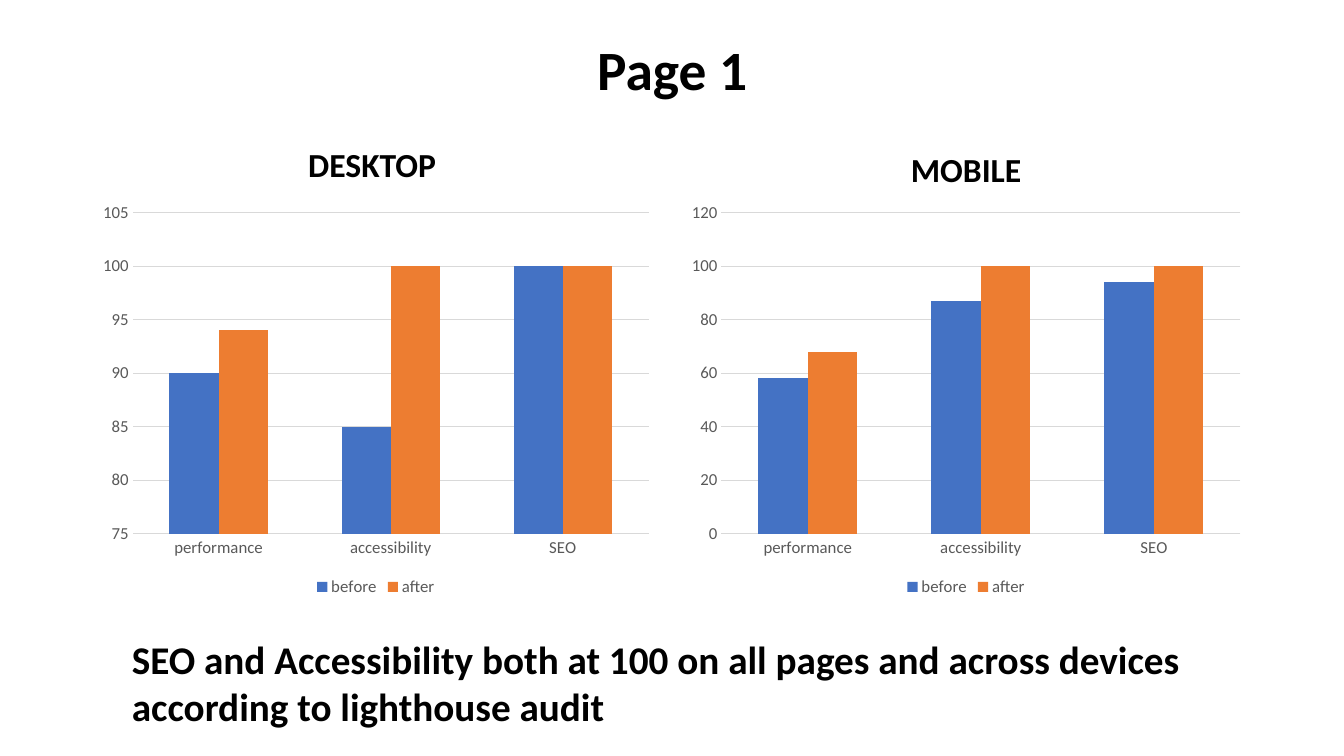
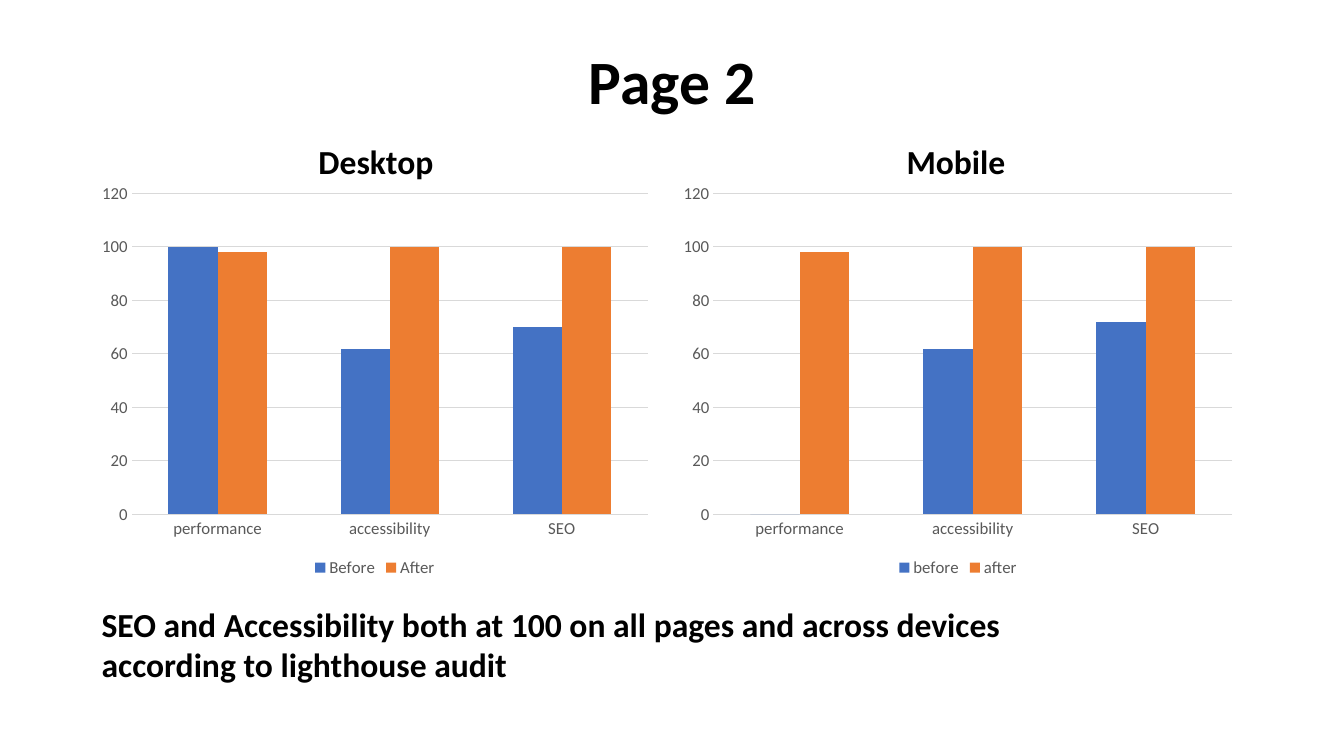
from pptx import Presentation
from pptx.chart.data import CategoryChartData
from pptx.dml.color import RGBColor
from pptx.enum.chart import XL_CHART_TYPE, XL_LEGEND_POSITION, XL_TICK_MARK
from pptx.enum.text import MSO_ANCHOR, PP_ALIGN
from pptx.util import Pt

COLUMNS = XL_CHART_TYPE.COLUMN_CLUSTERED
LEGEND_BOTTOM = XL_LEGEND_POSITION.BOTTOM
NO_TICK = XL_TICK_MARK.NONE
LEFT, CENTER = PP_ALIGN.LEFT, PP_ALIGN.CENTER
TOP, MIDDLE, BOTTOM = MSO_ANCHOR.TOP, MSO_ANCHOR.MIDDLE, MSO_ANCHOR.BOTTOM

FONT = "Calibri"
BLACK, GRAY, GRID = "000000", "595959", "D9D9D9"
SERIES_COLORS = ("4472C4", "ED7D31")
CATEGORIES = ("performance", "accessibility", "SEO")
LEFT_WIDTH, RIGHT_WIDTH = 406, 408.2
CHART_HEIGHT, HEADING_HEIGHT = 290.2, 64.8

PAGES = (
    {
        "title": ("Page 1", (66.2, 28.8, 828, 45.4), 39.6),
        "panels": (
            {"heading": "DESKTOP ", "heading_at": (65.5, 70.6), "chart_at": (65.5, 139),
             "width": LEFT_WIDTH, "scale": (75, 105, 5),
             "series": {"before": (90, 85, 100), "after": (94, 100, 100)}},
            {"heading": "MOBILE", "heading_at": (486, 74.2), "chart_at": (486, 139),
             "width": RIGHT_WIDTH, "scale": (0, 120, 20),
             "series": {"before": (58, 87, 94), "after": (68, 100, 100)}},
        ),
        "summary": ("SEO and Accessibility both at 100 on all pages and across devices "
                    "according to lighthouse audit", (87.1, 450, 781.2, 74.9), 28),
    },
    {
        "title": ("Page 2", (66.2, 7.9, 828, 104.4), 44),
        "panels": (
            {"heading": "Desktop", "heading_at": (65.5, 68.4), "chart_at": (64.8, 125.3),
             "width": LEFT_WIDTH, "scale": (0, 120, 20),
             "series": {"Before": (100, 62, 70), "After": (98, 100, 100)}},
            {"heading": "Mobile", "heading_at": (478.8, 68.4), "chart_at": (480.2, 125.3),
             "width": RIGHT_WIDTH, "scale": (0, 120, 20),
             "series": {"before": (0, 62, 72), "after": (98, 100, 100)}},
        ),
        "summary": ("SEO and Accessibility both at 100 on all pages and across devices\n"
                    "according to lighthouse audit", (65.5, 427.7, 668.2, 65.5), 24),
    },
)


def color(value):
    """Turn a hex string into a colour."""
    return RGBColor.from_string(value)


def style_font(font, size, value, bold=False):
    """Set the face, size, colour and weight of a font."""
    font.name = FONT
    font.size = Pt(size)
    font.bold = bold
    font.color.rgb = color(value)


def add_text(slide, text, box, size, align=LEFT, anchor=TOP, line_spacing=1.0):
    """Add a bold text box with one paragraph for each line."""
    frame = slide.shapes.add_textbox(*map(Pt, box)).text_frame
    frame.word_wrap = True
    frame.vertical_anchor = anchor
    frame.text = text
    for paragraph in frame.paragraphs:
        paragraph.alignment = align
        paragraph.line_spacing = line_spacing
        style_font(paragraph.font, size, BLACK, bold=True)


def style_axis(axis):
    """Give an axis gray labels without line or ticks."""
    axis.major_tick_mark = axis.minor_tick_mark = NO_TICK
    axis.format.line.fill.background()
    style_font(axis.tick_labels.font, 12, GRAY)


def add_column_chart(slide, series_values, box, scale):
    """Add a clustered column chart with a legend below."""
    data = CategoryChartData()
    data.categories = CATEGORIES
    for name, values in series_values.items():
        data.add_series(name, values)
    chart = slide.shapes.add_chart(COLUMNS, *map(Pt, box), data).chart
    style_font(chart.font, 10, BLACK)
    chart.has_title = False
    chart.has_legend = True
    chart.legend.position = LEGEND_BOTTOM
    chart.legend.include_in_layout = False
    style_font(chart.legend.font, 12, GRAY)

    plot = chart.plots[0]
    plot.vary_by_categories = False
    plot.gap_width = 150
    plot.overlap = 0
    for series, value in zip(plot.series, SERIES_COLORS):
        series.format.fill.solid()
        series.format.fill.fore_color.rgb = color(value)

    style_axis(chart.category_axis)
    axis = chart.value_axis
    style_axis(axis)
    axis.minimum_scale, axis.maximum_scale, axis.major_unit = scale
    axis.has_major_gridlines = True
    grid_line = axis.major_gridlines.format.line
    grid_line.color.rgb = color(GRID)
    grid_line.width = Pt(0.75)


def add_panel(slide, panel):
    """Add one device's heading and chart."""
    width = panel["width"]
    add_text(slide, panel["heading"], (*panel["heading_at"], width, HEADING_HEIGHT), 24,
             align=CENTER, anchor=BOTTOM, line_spacing=0.9)
    add_column_chart(slide, panel["series"], (*panel["chart_at"], width, CHART_HEIGHT),
                     panel["scale"])


def add_page(presentation, page):
    """Add a slide comparing audit scores on two devices."""
    slide = presentation.slides.add_slide(presentation.slide_layouts[6])
    add_text(slide, *page["title"], align=CENTER, anchor=MIDDLE, line_spacing=0.9)
    for panel in page["panels"]:
        add_panel(slide, panel)
    add_text(slide, *page["summary"])


def main():
    """Build and save the presentation."""
    presentation = Presentation()
    presentation.slide_width, presentation.slide_height = Pt(960), Pt(540)
    for page in PAGES:
        add_page(presentation, page)
    presentation.save("out.pptx")


if __name__ == "__main__":
    main()
